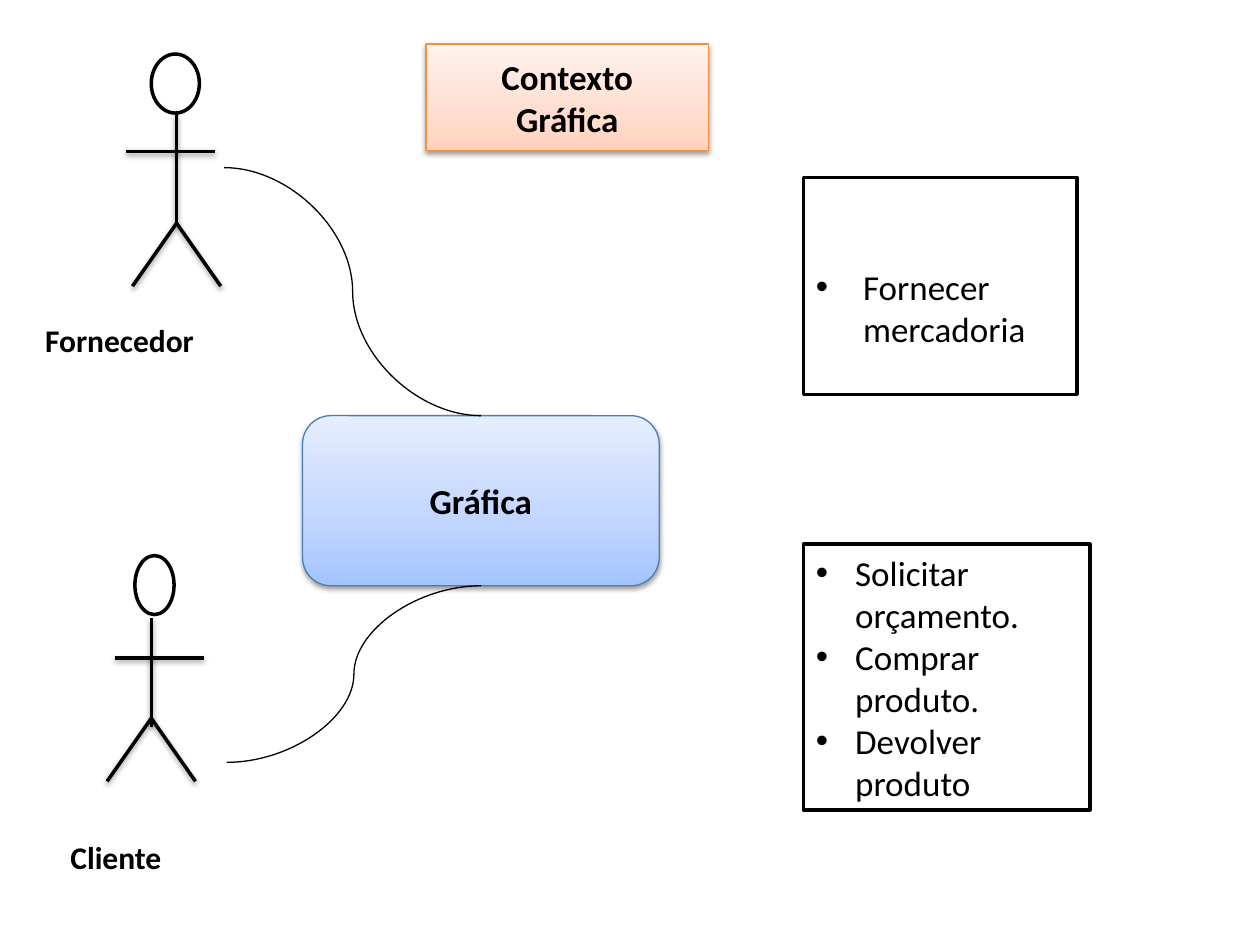
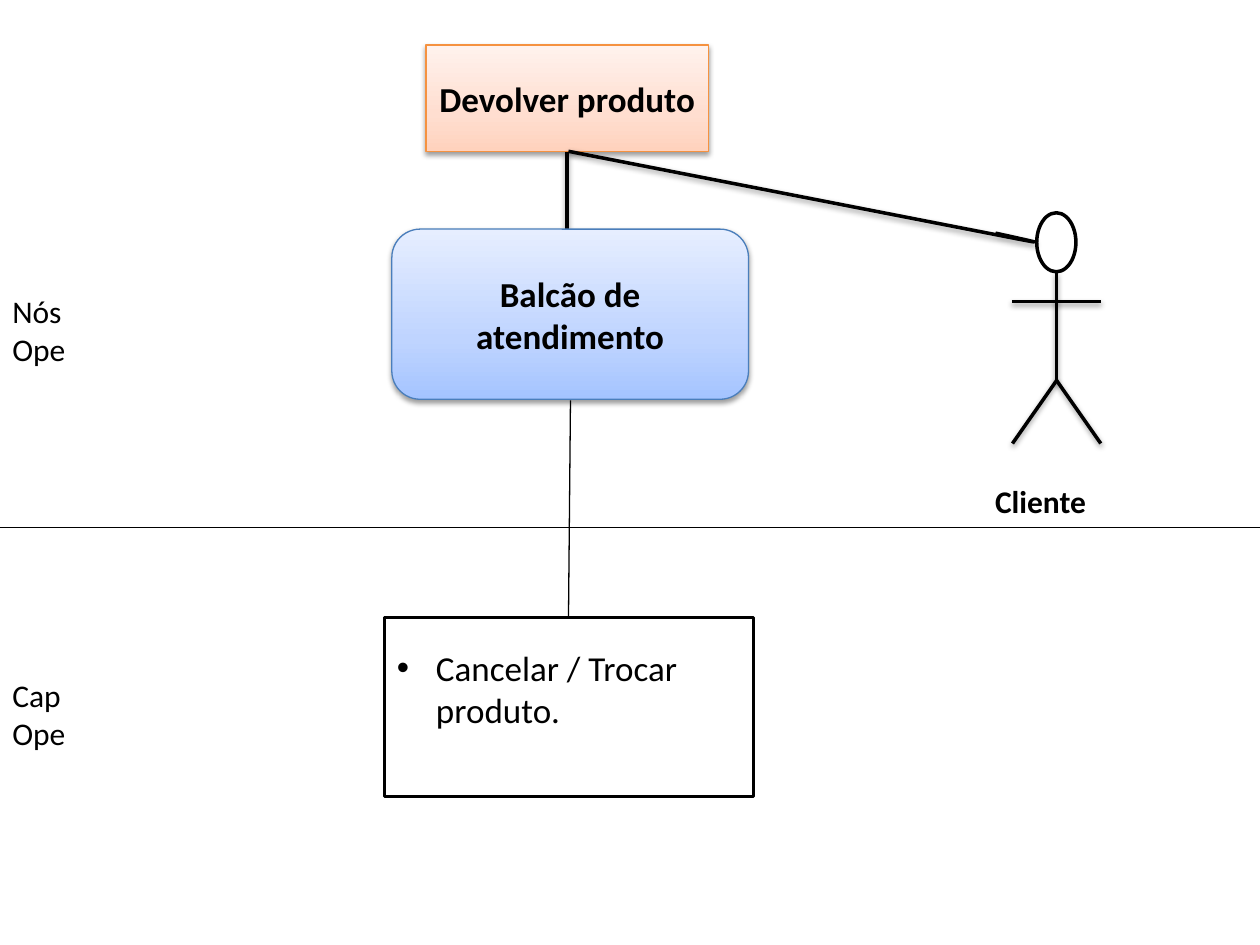
"""Build the two context slides of the print shop."""
from dataclasses import dataclass

from lxml.etree import SubElement
from pptx import Presentation
from pptx.dml.color import RGBColor
from pptx.enum.shapes import MSO_CONNECTOR, MSO_SHAPE
from pptx.enum.text import MSO_ANCHOR, PP_ALIGN
from pptx.oxml import parse_xml
from pptx.oxml.ns import nsdecls, qn
from pptx.util import Cm, Pt

FONT = "Calibri"
BLACK, WHITE = "000000", "FFFFFF"
HEAVY, THIN = 2, 0.75
HEAD_HEIGHT, BODY, ARM_SPAN, STRIDE, LEG = 1.19, 2.2, 1.8, 0.89, 1.27
BOX_INSET_X, BOX_INSET_Y = 0.25, 0.13


@dataclass(frozen=True)
class Area:
    """Hold a rectangle in centimetres."""
    left: float
    top: float
    width: float
    height: float

    def lengths(self) -> tuple:
        """Return the four sides as lengths."""
        return Cm(self.left), Cm(self.top), Cm(self.width), Cm(self.height)


@dataclass(frozen=True)
class Look:
    """Hold the preset, gradient stops and outline of a shaded box."""
    preset: MSO_SHAPE
    stops: tuple[str, str, str]
    outline: str


@dataclass(frozen=True)
class Actor:
    """Hold the joints of a stick figure in centimetres."""
    head_left: float
    head_top: float
    head_width: float
    spine: float
    neck: float
    arms_left: float
    arms_top: float
    hip: float


@dataclass(frozen=True)
class Duties:
    """Hold a bulleted box and its extra insets above and below."""
    area: Area
    items: tuple[str, ...]
    indent: float = 0.79
    above: float = 0
    below: float = 0


TITLE = Look(MSO_SHAPE.RECTANGLE, ("FFD2BD", "FFDED0", "FFF2ED"), "F59240")
NODE = Look(MSO_SHAPE.ROUNDED_RECTANGLE, ("A4C4FF", "BFD4FF", "E6EEFF"), "4A7EBB")


def colour(value: str) -> RGBColor:
    """Turn a hex string into a colour."""
    return RGBColor.from_string(value)


def style_line(line, value: str, width: float) -> None:
    """Set the colour and width of an outline."""
    line.color.rgb = colour(value)
    line.width = Pt(width)


def set_shadow(item, visible: bool) -> None:
    """Replace the inherited effect with a soft drop shadow or with none."""
    properties = item._element.spPr
    for old in properties.findall(qn("a:effectLst")):
        properties.remove(old)
    effects = SubElement(properties, qn("a:effectLst"))
    if visible:
        effects.append(parse_xml(
            f'<a:outerShdw {nsdecls("a")} blurRad="40000" dist="20000" dir="5400000" '
            f'rotWithShape="0"><a:srgbClr val="{BLACK}"><a:alpha val="38000"/>'
            '</a:srgbClr></a:outerShdw>'))


def write(shape, lines: tuple[str, ...], size: float, bold: bool = False,
          align: PP_ALIGN = PP_ALIGN.LEFT) -> list:
    """Write one paragraph for each line and return the paragraphs."""
    frame = shape.text_frame
    frame.word_wrap = True
    frame.text = "\n".join(lines)
    for para in frame.paragraphs:
        para.alignment = align
        para.font.name = FONT
        para.font.size = Pt(size)
        para.font.bold = bold
        para.font.color.rgb = colour(BLACK)
    return list(frame.paragraphs)


def add_shaded_box(page, look: Look, area: Area, *lines: str) -> None:
    """Draw a gradient box with bold centred text."""
    box = page.shapes.add_shape(look.preset, *area.lengths())
    style_line(box.line, look.outline, THIN)
    stops = "".join(f'<a:gs pos="{place}"><a:srgbClr val="{value}"/></a:gs>'
                    for place, value in zip((0, 35000, 100000), look.stops))
    box._element.spPr.find(qn("a:prstGeom")).addnext(parse_xml(
        f'<a:gradFill {nsdecls("a")} rotWithShape="1"><a:gsLst>{stops}</a:gsLst>'
        '<a:lin ang="16200000" scaled="0"/></a:gradFill>'))
    set_shadow(box, True)
    write(box, lines, 20, True, PP_ALIGN.CENTER)
    frame = box.text_frame
    frame.vertical_anchor = MSO_ANCHOR.MIDDLE
    if look is TITLE:
        frame.margin_left = frame.margin_right = Cm(0.1)


def add_outlined(page, preset: MSO_SHAPE, area: Area):
    """Draw a white shape with a heavy black outline."""
    shape = page.shapes.add_shape(preset, *area.lengths())
    shape.fill.solid()
    shape.fill.fore_color.rgb = colour(WHITE)
    style_line(shape.line, BLACK, HEAVY)
    set_shadow(shape, False)
    return shape


def add_duties(page, duties: Duties) -> None:
    """Draw a white box with its bulleted list."""
    box = add_outlined(page, MSO_SHAPE.RECTANGLE, duties.area)
    frame = box.text_frame
    frame.vertical_anchor = MSO_ANCHOR.MIDDLE
    frame.margin_left = frame.margin_right = Cm(BOX_INSET_X)
    frame.margin_top = Cm(BOX_INSET_Y + duties.above)
    frame.margin_bottom = Cm(BOX_INSET_Y + duties.below)
    for para in write(box, duties.items, 20):
        properties = para._p.get_or_add_pPr()
        properties.set("marL", str(Cm(duties.indent)))
        properties.set("indent", str(-Cm(duties.indent)))
        for tag in (f'<a:buFont {nsdecls("a")} typeface="Arial"/>',
                    f'<a:buChar {nsdecls("a")} char="•"/>'):
            properties.insert_element_before(parse_xml(tag), "a:tabLst", "a:defRPr", "a:extLst")


def add_label(page, area: Area, *lines: str, bold: bool = True) -> None:
    """Place a free label."""
    write(page.shapes.add_textbox(*area.lengths()), lines, 18, bold)


def add_link(page, start: tuple[float, float], end: tuple[float, float],
             width: float = THIN, kind: MSO_CONNECTOR = MSO_CONNECTOR.STRAIGHT) -> None:
    """Draw a black line, with a shadow when it is heavy."""
    link = page.shapes.add_connector(kind, *map(Cm, start + end))
    style_line(link.line, BLACK, width)
    set_shadow(link, width == HEAVY)


def add_actor(page, actor: Actor) -> None:
    """Draw a stick figure."""
    add_outlined(page, MSO_SHAPE.OVAL, Area(
        actor.head_left, actor.head_top, actor.head_width, HEAD_HEIGHT))
    hips = (actor.spine, actor.hip)
    add_link(page, (actor.spine, actor.neck), (actor.spine, actor.neck + BODY), HEAVY)
    add_link(page, (actor.arms_left, actor.arms_top),
             (actor.arms_left + ARM_SPAN, actor.arms_top), HEAVY)
    for side in (-1, 1):
        add_link(page, hips, (actor.spine + side * STRIDE, actor.hip + LEG), HEAVY)


def add_hooked_line(page, start: tuple[float, float], *curve: tuple[float, float]) -> None:
    """Draw a line that ends in a cubic curve given by four points."""
    steps = 16
    points = []
    for step in range(steps + 1):
        t = step / steps
        weights = ((1 - t) ** 3, 3 * t * (1 - t) ** 2, 3 * t * t * (1 - t), t ** 3)
        points.append(tuple(Cm(sum(weight * point[axis] for weight, point in zip(weights, curve)))
                            for axis in (0, 1)))
    builder = page.shapes.build_freeform(*map(Cm, start))
    builder.add_line_segments(points, close=False)
    hook = builder.convert_to_shape()
    hook.fill.background()
    style_line(hook.line, BLACK, HEAVY)
    set_shadow(hook, True)


def build_context(page) -> None:
    """Draw the context slide."""
    add_actor(page, Actor(3.05, 1.09, 0.97, 3.56, 2.29, 2.54, 3.05, 4.5))
    add_shaded_box(page, TITLE, Area(8.59, 0.89, 5.69, 2.14), "Contexto", "Gráfica")
    add_shaded_box(page, NODE, Area(6.1, 8.38, 7.19, 3.43), "Gráfica")
    add_actor(page, Actor(2.72, 11.2, 0.79, 3.05, 12.45, 2.31, 13.26, 14.48))
    add_label(page, Area(0.66, 6.35, 4.55, 1.02), "Fornecedor")
    add_label(page, Area(1.17, 16.76, 3.25, 1.02), "Cliente")
    add_duties(page, Duties(Area(16.2, 3.58, 5.51, 4.37), ("Fornecer mercadoria",),
                            indent=0.95, above=0.87))
    add_duties(page, Duties(Area(16.2, 10.97, 5.77, 5.36), (
        "Solicitar orçamento.", "Comprar produto.", "Devolver produto")))
    add_link(page, (4.52, 3.38), (9.7, 8.38), kind=MSO_CONNECTOR.CURVE)
    add_link(page, (4.57, 15.37), (9.7, 11.81), kind=MSO_CONNECTOR.CURVE)


def build_return(page) -> None:
    """Draw the product return slide."""
    add_shaded_box(page, TITLE, Area(8.59, 0.91, 5.69, 2.14), "Devolver produto")
    add_link(page, (11.43, 3.07), (11.43, 4.62), HEAVY)
    add_shaded_box(page, NODE, Area(7.9, 4.62, 7.19, 3.43), "Balcão de atendimento")
    add_actor(page, Actor(20.9, 4.29, 0.79, 21.3, 5.49, 20.4, 6.08, 7.67))
    add_hooked_line(page, (11.46, 3.05),
                    (20.02, 4.72), (21.44, 5.0), (20.75, 4.85), (20.07, 4.7))
    add_label(page, Area(19.81, 9.6, 3.02, 1.02), "Cliente")
    for top, name in ((5.77, "Nós"), (13.51, "Cap")):
        add_label(page, Area(0, top, 1.78, 2.54), name, "Ope", bold=False)
    add_duties(page, Duties(Area(7.75, 12.45, 7.44, 3.61), ("Cancelar / Trocar produto.",),
                            below=0.75))
    add_link(page, (0, 10.64), (25.4, 10.64))
    add_link(page, (11.5, 8.07), (11.46, 12.45))


def main() -> None:
    """Build and save the deck."""
    deck = Presentation()
    deck.slide_width, deck.slide_height = Cm(25.4), Cm(19.05)
    for build in (build_context, build_return):
        build(deck.slides.add_slide(deck.slide_layouts[6]))
    deck.save("out.pptx")


if __name__ == "__main__":
    main()
